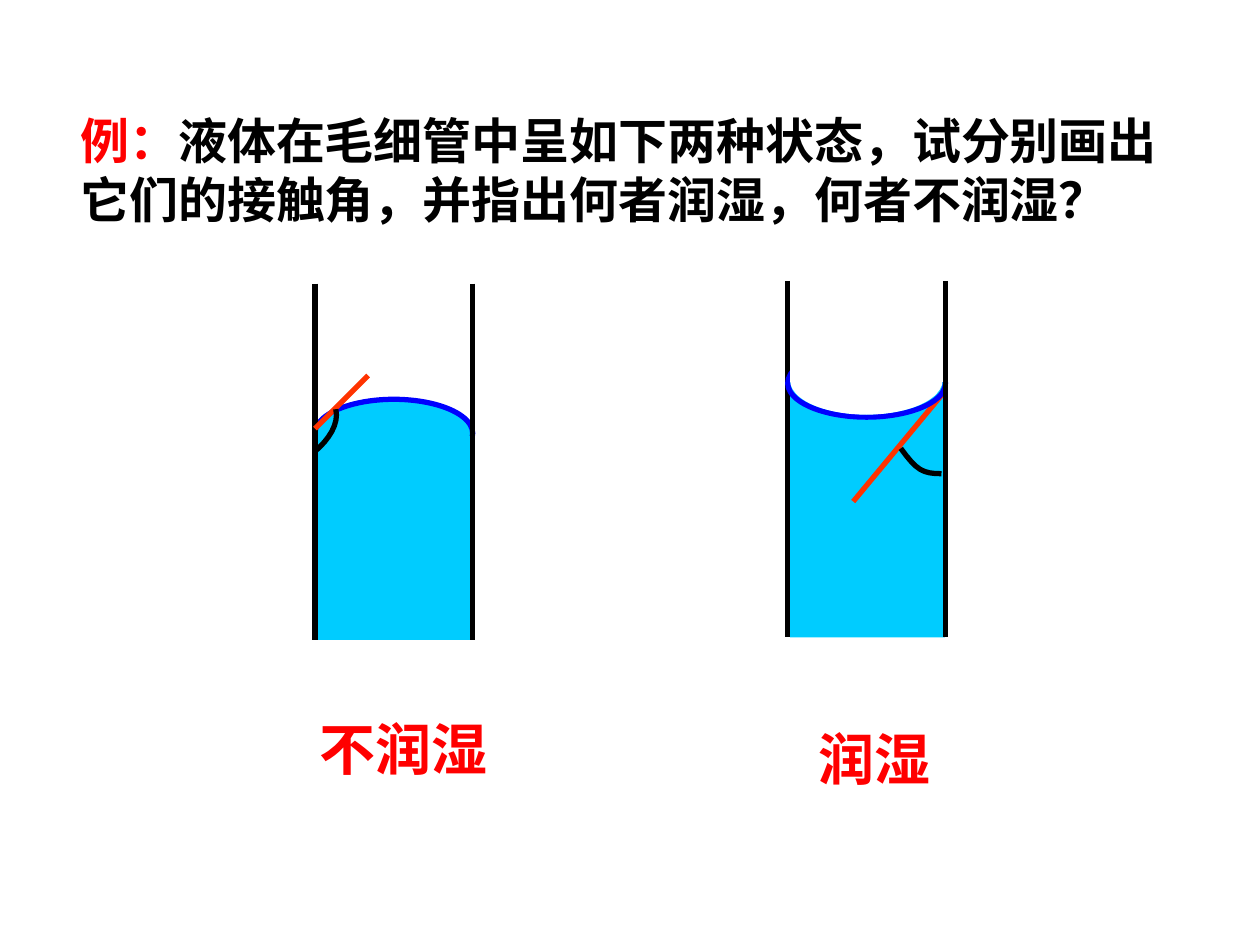
from lxml import etree
from pptx import Presentation
from pptx import util as u
from pptx.dml.color import RGBColor
from pptx.enum import shapes, text
from pptx.oxml import ns

BLACK = RGBColor(0x00, 0x00, 0x00)
WHITE = RGBColor(0xFF, 0xFF, 0xFF)
RED = RGBColor(0xFF, 0x00, 0x00)
ORANGE = RGBColor(0xFF, 0x33, 0x00)
BLUE = RGBColor(0x00, 0x00, 0xFF)
WATER = RGBColor(0x00, 0xCC, 0xFF)

SANS = "Noto Sans CJK SC"
SERIF = "Times New Roman"
RECT = shapes.MSO_SHAPE.RECTANGLE
OVAL = shapes.MSO_SHAPE.OVAL

BORE = 3.18   # inner width of a tube
TALL = 7.19   # height of a tube wall
CAP = 1.37    # height of the oval that forms the liquid surface
LEFT, RIGHT = 6.35, 15.88   # left wall of each tube
STEPS = 8     # straight pieces per curve


def block(slide, kind, x, y, w, h, fill, edge=None):
    shape = slide.shapes.add_shape(kind, *map(u.Cm, (x, y, w, h)))
    shape.shadow.inherit = False
    shape.fill.solid()
    shape.fill.fore_color.rgb = fill
    if edge is None:
        shape.line.fill.background()
    else:
        stroke(shape, edge)


def stroke(shape, color):
    shape.line.color.rgb = color
    shape.line.width = u.Pt(3)


def line(slide, x1, y1, x2, y2, color):
    link = slide.shapes.add_connector(
        shapes.MSO_CONNECTOR.STRAIGHT, *map(u.Cm, (x1, y1, x2, y2)))
    stroke(link, color)
    etree.SubElement(link._element.spPr, ns.qn("a:effectLst"))


def wall(slide, x, top):
    line(slide, x, top, x, top + TALL, BLACK)


def bend(a, b, c, d, t):
    """Point on a cubic curve at t, for one coordinate."""
    s = 1 - t
    return s**3 * a + 3 * s * s * t * b + 3 * s * t * t * c + t**3 * d


def arc(slide, *ends):
    """Open angle mark along a cubic curve with four control points."""
    xs, ys = zip(*ends)
    dots = [(u.Cm(bend(*xs, i / STEPS)), u.Cm(bend(*ys, i / STEPS)))
            for i in range(STEPS + 1)]
    pen = slide.shapes.build_freeform(*dots[0])
    pen.add_line_segments(dots[1:], close=False)
    shape = pen.convert_to_shape()
    shape.shadow.inherit = False
    shape.fill.background()
    stroke(shape, BLACK)


def words(slide, x, y, w, h, size, face, parts):
    frame = slide.shapes.add_textbox(*map(u.Cm, (x, y, w, h))).text_frame
    frame.word_wrap = True
    frame.auto_size = text.MSO_AUTO_SIZE.SHAPE_TO_FIT_TEXT
    para = frame.paragraphs[0]
    for part, color in parts:
        run = para.add_run()
        run.text = part
        run.font.size = u.Pt(size)
        run.font.bold = True
        run.font.name = face
        run.font.color.rgb = color
        # East Asian typeface
        etree.SubElement(run.font._element, ns.qn("a:ea"), typeface=SANS)


def convex(slide):
    """Non-wetting liquid: the surface bulges upwards."""
    top = 5.72
    block(slide, OVAL, LEFT, 8.05, BORE, CAP, WATER, BLUE)
    block(slide, RECT, LEFT, 8.79, BORE, 4.11, WATER)
    for x in (LEFT, LEFT + BORE):
        wall(slide, x, top)
    # Tangent and contact angle
    line(slide, LEFT, 8.64, 7.42, 7.57, ORANGE)
    arc(slide, (6.77, 8.25), (6.84, 8.55), (6.62, 8.87), (LEFT, 9.1))


def concave(slide):
    """Wetting liquid: the surface sags."""
    top = 5.66
    inner = RIGHT + 0.05
    block(slide, RECT, inner, 7.87, 3.12, 4.98, WATER)
    wall(slide, RIGHT, top)
    # Tangent and contact angle
    line(slide, 17.2, 10.11, RIGHT + BORE, 7.87, ORANGE)
    arc(slide, (18.16, 9.04), (18.48, 9.48), (18.6, 9.55), (18.98, 9.55))
    # White parts clear the space above the surface
    block(slide, OVAL, RIGHT, 7.04, BORE, CAP, WATER, BLUE)
    block(slide, RECT, inner, 5.46, 3.12, 2.24, WHITE)
    block(slide, OVAL, inner, 6.99, 3.07, CAP, WHITE)
    wall(slide, RIGHT + BORE, top)


def main():
    deck = Presentation()
    deck.slide_width, deck.slide_height = u.Cm(25.4), u.Cm(19.05)
    slide = deck.slides.add_slide(deck.slide_layouts[6])

    # Question
    words(slide, 1.37, 2.11, 22.66, 2.62, 28, SANS, [
        ("例：", RED),
        ("液体在毛细管中呈如下两种状态，试分别画出它们的接触角，"
         "并指出何者润湿，何者不润湿？", BLACK)])

    # Tubes
    convex(slide)
    concave(slide)

    # Answers
    words(slide, 6.2, 14.27, 4.47, 1.6, 32, SERIF, [("不润湿", RED)])
    words(slide, 16.26, 14.48, 3.38, 1.6, 32, SERIF, [("润湿", RED)])

    deck.save("out.pptx")


if __name__ == "__main__":
    main()
